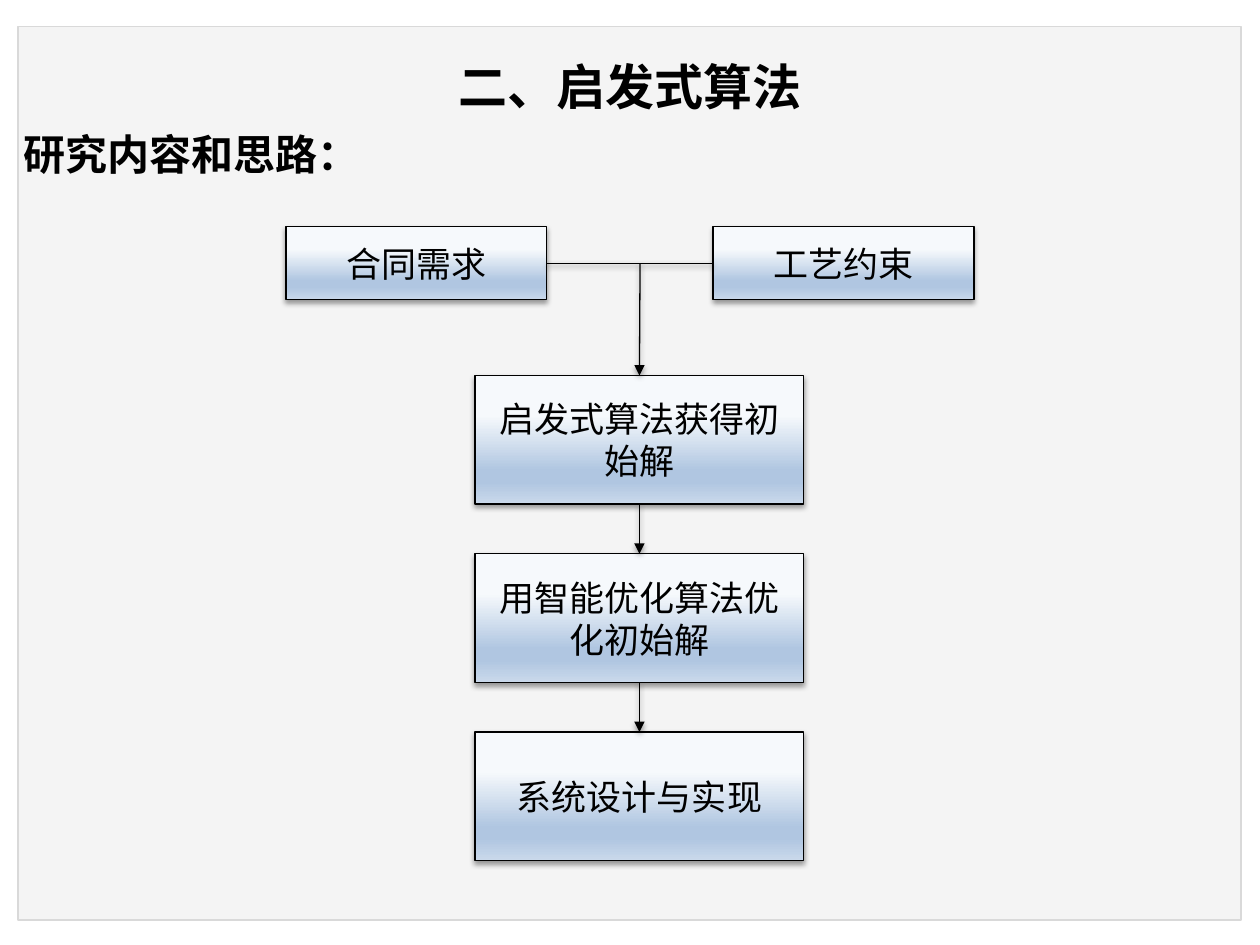
from dataclasses import dataclass

from lxml.etree import SubElement
from pptx import Presentation
from pptx.dml.color import RGBColor
from pptx.enum.shapes import MSO_CONNECTOR as CONN, MSO_SHAPE as SHAPE
from pptx.enum.text import MSO_ANCHOR as ANCHOR, PP_ALIGN as ALIGN
from pptx.oxml.ns import qn
from pptx.util import Inches, Pt


@dataclass(frozen=True)
class Theme:
    panel: str = "F4F4F4"
    panel_line: str = "D9D9D9"
    ink: str = "000000"
    gradient: tuple = ((31, "F6F9FC"), (74, "B0C6E1"), (83, "B0C6E1"), (100, "CAD9EB"))
    latin: str = "Arial"
    cjk: str = "Noto Sans CJK SC"
    title: int = 28
    heading: int = 24
    box: int = 20
    line: float = 0.75


T = Theme()
TOP, LEFT, BOTTOM, RIGHT = range(4)


def rgb(value):
    return RGBColor.from_string(value)


def add_color(parent, value):
    return SubElement(parent, qn("a:srgbClr"), val=value)


def add_shadow(s):
    effects = SubElement(s._element.spPr, qn("a:effectLst"))
    shadow = SubElement(effects, qn("a:outerShdw"), blurRad=str(Pt(3.1)),
                        dist=str(Pt(1.6)), dir="5400000", rotWithShape="0")
    SubElement(add_color(shadow, T.ink), qn("a:alpha"), val="38000")


def fill_gradient(s):
    s.fill.gradient()
    s.fill.gradient_angle = 270
    stops = s._element.spPr.find(qn("a:gradFill")).find(qn("a:gsLst"))
    for stop in list(stops):
        stops.remove(stop)
    for percent, value in T.gradient:
        add_color(SubElement(stops, qn("a:gs"), pos=str(percent * 1000)), value)


def write(tf, text, size, font=T.cjk, bold=False, align=ALIGN.CENTER):
    tf.vertical_anchor = ANCHOR.MIDDLE
    p = tf.paragraphs[0]
    p.alignment = align
    r = p.add_run()
    r.text = text
    f = r.font
    f.name, f.size, f.bold = font, Pt(size), bold
    f.color.rgb = rgb(T.ink)
    SubElement(r._r.get_or_add_rPr(), qn("a:ea"), typeface=T.cjk)


def add_panel(slide):
    s = slide.shapes.add_shape(SHAPE.RECTANGLE, Inches(0.14), Inches(0.21),
                               Inches(9.71), Inches(7.09))
    s.shadow.inherit = False
    s.fill.solid()
    s.fill.fore_color.rgb = rgb(T.panel)
    s.line.color.rgb = rgb(T.panel_line)
    s.line.width = Pt(1)


def add_text(slide, text, x, y, w, h, size, wrap=True, **style):
    tf = slide.shapes.add_textbox(Inches(x), Inches(y), Inches(w), Inches(h)).text_frame
    tf.word_wrap = wrap
    write(tf, text, size, bold=True, **style)


def add_box(slide, text, x, y, w, h):
    s = slide.shapes.add_shape(SHAPE.RECTANGLE, Inches(x), Inches(y), Inches(w), Inches(h))
    fill_gradient(s)
    s.line.color.rgb = rgb(T.ink)
    s.line.width = Pt(T.line)
    add_shadow(s)
    s.text_frame.word_wrap = True
    write(s.text_frame, text, T.box)
    return s


def add_line(slide, start, end, arrow=False):
    c = slide.shapes.add_connector(CONN.STRAIGHT, *map(Inches, start + end))
    c.line.color.rgb = rgb(T.ink)
    c.line.width = Pt(T.line)
    if arrow:
        SubElement(c.line._get_or_add_ln(), qn("a:tailEnd"), type="triangle")
    add_shadow(c)
    return c


def add_flow(slide):
    center, input_y, input_w, input_h = 5.08, 1.8, 2.07, 0.58
    step_x, step_y, step_w, step_h, pitch = 3.77, 2.98, 2.61, 1.02, 1.415
    demand, process = [add_box(slide, text, x, input_y, input_w, input_h)
                       for text, x in (("合同需求", 2.27), ("工艺约束", 5.66))]
    steps = [add_box(slide, text, step_x, step_y + i * pitch, step_w, step_h)
             for i, text in enumerate(("启发式算法获得初始解", "用智能优化算法优化初始解",
                                       "系统设计与实现"))]

    for i, (upper, lower) in enumerate(zip(steps, steps[1:])):
        y = step_y + i * pitch
        c = add_line(slide, (center, y + step_h), (center, y + pitch), arrow=True)
        c.begin_connect(upper, BOTTOM)
        c.end_connect(lower, TOP)

    add_line(slide, (6.42, 2.51), (6.42, 2.51))
    middle = input_y + input_h / 2
    join = add_line(slide, (4.34, middle), (5.66, middle))
    join.begin_connect(demand, RIGHT)
    join.end_connect(process, LEFT)
    entry = add_line(slide, (center, middle), (center, step_y), arrow=True)
    entry.end_connect(steps[0], TOP)


def main():
    prs = Presentation()
    prs.slide_width, prs.slide_height = Inches(10), Inches(7.5)
    slide = prs.slides.add_slide(prs.slide_layouts[6])
    add_panel(slide)
    add_text(slide, "二、启发式算法", 0.5, 0.37, 9, 0.62, T.title, font=T.latin)
    add_flow(slide)
    add_text(slide, "研究内容和思路：", 0.09, 0.97, 2.87, 0.5, T.heading,
             wrap=False, align=ALIGN.LEFT)
    prs.save("out.pptx")


if __name__ == "__main__":
    main()
